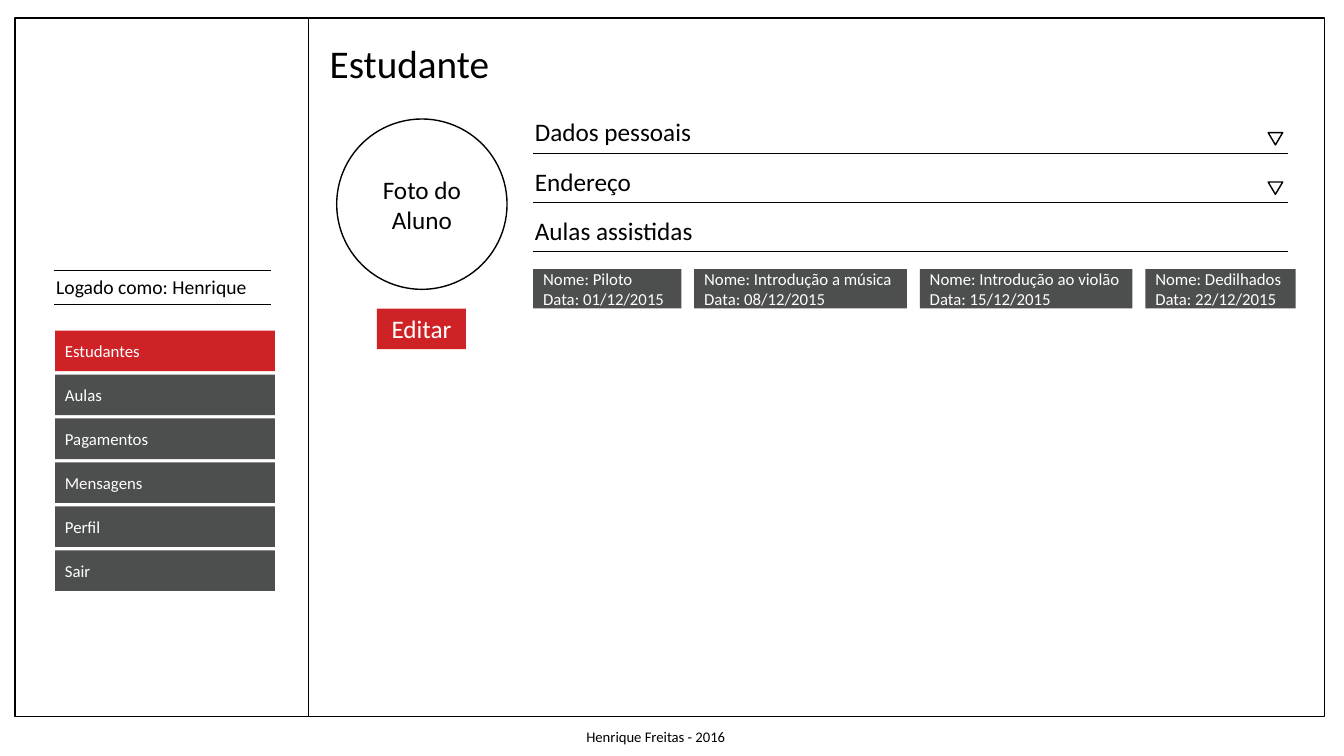
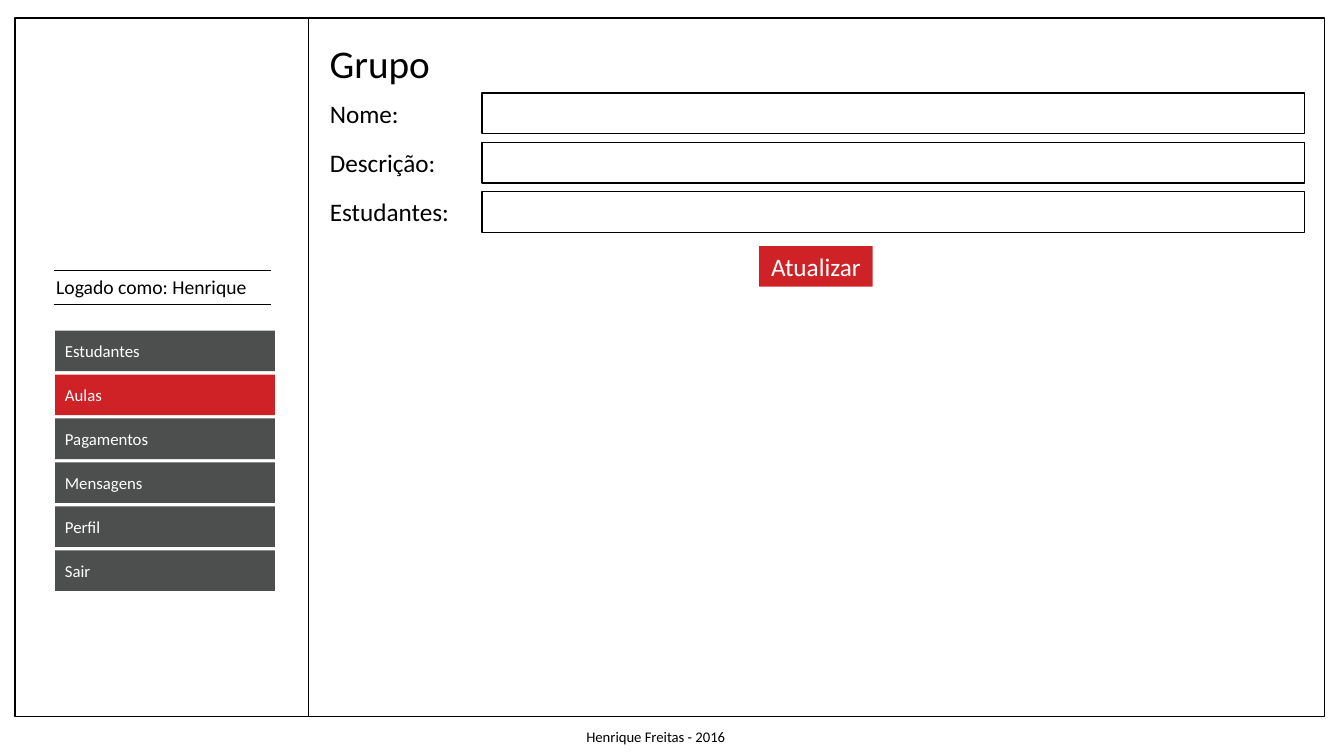
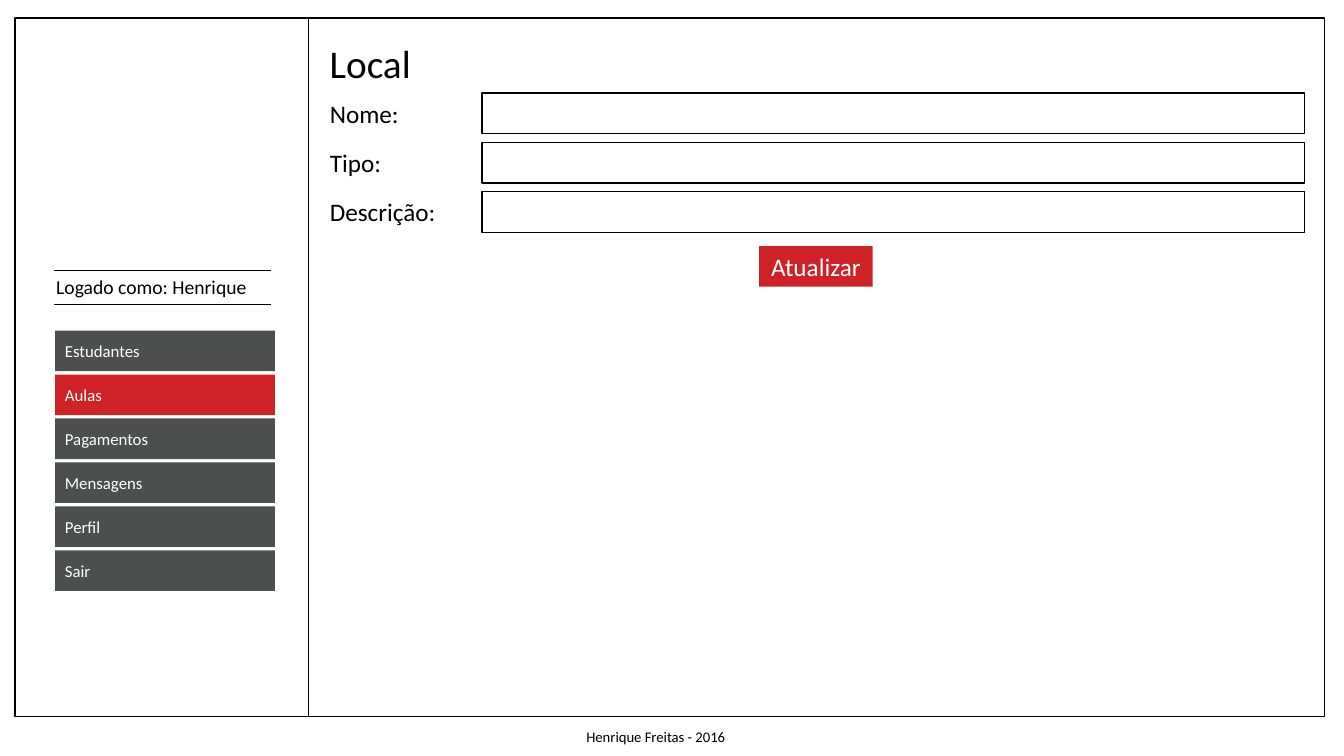
"""Build three wireframe screens of a music school's student management site."""
from dataclasses import dataclass
from typing import NamedTuple

from lxml import etree
from pptx import Presentation
from pptx.dml.color import RGBColor
from pptx.enum.shapes import MSO_CONNECTOR, MSO_SHAPE, PP_PLACEHOLDER
from pptx.enum.text import MSO_ANCHOR, MSO_AUTO_SIZE, PP_ALIGN
from pptx.oxml.ns import qn
from pptx.util import Pt

RECTANGLE = MSO_SHAPE.RECTANGLE
OVAL = MSO_SHAPE.OVAL
TRIANGLE = MSO_SHAPE.ISOSCELES_TRIANGLE
STRAIGHT = MSO_CONNECTOR.STRAIGHT
TITLE = PP_PLACEHOLDER.TITLE
TOP = MSO_ANCHOR.TOP
MIDDLE = MSO_ANCHOR.MIDDLE
FIT = MSO_AUTO_SIZE.SHAPE_TO_FIT_TEXT
LEFT = PP_ALIGN.LEFT
CENTER = PP_ALIGN.CENTER

COLORS = {"ink": "000000", "paper": "FFFFFF", "idle": "4D4E4E", "active": "CF2227"}
FONT = "Calibri"
MENU = ("Estudantes", "Aulas", "Pagamentos", "Mensagens", "Perfil", "Sair")
MENU_PITCH = 31.4
ROW_PITCH = 35.3
BUTTON_HEIGHT = 29
CARD_GAP = 9.2


class Box(NamedTuple):
    left: float
    top: float
    width: float
    height: float


class Section(NamedTuple):
    heading: str
    width: float
    collapsed: bool


class Lesson(NamedTuple):
    name: str
    date: str
    width: float


class Field(NamedTuple):
    label: str
    width: float


@dataclass(frozen=True)
class Screen:
    title: str
    title_width: float
    active: str
    fields: tuple[Field, ...] = ()


SCREENS = (
    Screen("Estudante", 129.6, "Estudantes"),
    Screen("Grupo", 87.1, "Aulas",
           (Field("Nome:", 64.1), Field("Descrição:", 90.7), Field("Estudantes:", 100.8))),
    Screen("Local", 72.7, "Aulas",
           (Field("Nome:", 64.1), Field("Tipo:", 51.8), Field("Descrição:", 90.7))),
)
SECTIONS = (
    Section("Dados pessoais", 127.4, True),
    Section("Endereço", 84.2, True),
    Section("Aulas assistidas", 128.2, False),
)
LESSONS = (
    Lesson("Piloto", "01/12/2015", 105.8),
    Lesson("Introdução a música", "08/12/2015", 151.9),
    Lesson("Introdução ao violão", "15/12/2015", 151.9),
    Lesson("Dedilhados", "22/12/2015", 107.3),
)


def rgb(color: str) -> RGBColor:
    return RGBColor.from_string(COLORS[color])


def write(frame, lines: tuple[str, ...], size: float, color: str, align=LEFT) -> None:
    for index, line in enumerate(lines):
        paragraph = frame.add_paragraph() if index else frame.paragraphs[0]
        paragraph.alignment = align
        run = paragraph.add_run()
        run.text = line
        run.font.name = FONT
        run.font.size = Pt(size)
        run.font.color.rgb = rgb(color)


def add_label(slide, box: Box, text: str, size: float) -> None:
    frame = slide.shapes.add_textbox(*map(Pt, box)).text_frame
    frame.word_wrap = False
    frame.auto_size = FIT
    write(frame, (text,), size, "ink")


def add_outline(slide, box: Box, kind=RECTANGLE):
    outline = slide.shapes.add_shape(kind, *map(Pt, box))
    outline.shadow.inherit = False
    outline.fill.background()
    outline.line.color.rgb = rgb("ink")
    outline.line.width = Pt(1)
    return outline


def add_block(slide, box: Box, lines: tuple[str, ...], color: str,
              size: float = 12, align=LEFT) -> None:
    block = slide.shapes.add_shape(RECTANGLE, *map(Pt, box))
    block.shadow.inherit = False
    block.fill.solid()
    block.fill.fore_color.rgb = rgb(color)
    block.line.fill.background()
    block.text_frame.vertical_anchor = MIDDLE
    write(block.text_frame, lines, size, "paper", align)


def add_rule(slide, left: float, right: float, top: float) -> None:
    rule = slide.shapes.add_connector(STRAIGHT, Pt(left), Pt(top), Pt(right), Pt(top))
    rule.line.color.rgb = rgb("ink")
    rule.line.width = Pt(0.5)
    etree.SubElement(rule.element.spPr, qn("a:effectLst"))


def set_title(slide, screen: Screen) -> None:
    title = slide.shapes.title
    title.left, title.top = Pt(228.3), Pt(24.5)
    title.width, title.height = Pt(screen.title_width), Pt(41.2)
    frame = title.text_frame
    frame.word_wrap = False
    frame.auto_size = FIT
    frame.vertical_anchor = TOP
    write(frame, (screen.title,), 28, "ink")


def build_layout(layout, slide) -> None:
    for placeholder in list(layout.placeholders):
        if placeholder.placeholder_format.type != TITLE:
            layout.shapes.element.remove(placeholder.element)
    add_outline(slide, Box(220.3, 13, 725.8, 499))
    add_outline(slide, Box(10.8, 13, 209.5, 499))
    add_label(slide, Box(33.1, 193, 152, 24.4), "Logado como: Henrique", 14)
    for top in (193, 217.4):
        add_rule(slide, 38.9, 193.7, top)
    add_label(slide, Box(411.8, 516.2, 115.9, 20.2), "Henrique Freitas - 2016", 10.5)
    for shape in list(slide.shapes):
        if not shape.is_placeholder:
            layout.shapes.element.append(shape.element)


def draw_menu(slide, active: str) -> None:
    for index, entry in enumerate(MENU):
        box = Box(39.3, 236.1 + index * MENU_PITCH, 157, BUTTON_HEIGHT)
        add_block(slide, box, (entry,), "active" if entry == active else "idle")


def draw_student(slide) -> None:
    for index, section in enumerate(SECTIONS):
        rule_top = 109.3 + index * ROW_PITCH
        add_label(slide, Box(375, rule_top - 29.5, section.width, 29), section.heading, 18)
        add_rule(slide, 380.9, 920.2, rule_top)
        if section.collapsed:
            arrow = add_outline(slide, Box(905.8, rule_top - 14.6, 10.4, 8.8), TRIANGLE)
            arrow.rotation = 180
    photo = add_outline(slide, Box(240.5, 85, 121.7, 121.7), OVAL)
    photo.text_frame.vertical_anchor = MIDDLE
    write(photo.text_frame, ("Foto do Aluno",), 18, "ink", CENTER)
    card_left = 380.9
    for lesson in LESSONS:
        lines = (f"Nome: {lesson.name}", f"Data: {lesson.date}")
        add_block(slide, Box(card_left, 192.2, lesson.width, 28.1), lines, "idle")
        card_left += lesson.width + CARD_GAP
    add_block(slide, Box(269.3, 220.4, 63.6, BUTTON_HEIGHT), ("Editar",), "active", 18, CENTER)


def draw_form(slide, fields: tuple[Field, ...]) -> None:
    for index, field in enumerate(fields):
        top = 66.4 + index * ROW_PITCH
        add_label(slide, Box(228.5, top, field.width, 29), field.label, 18)
        add_outline(slide, Box(344.2, top, 587.6, BUTTON_HEIGHT))
    add_block(slide, Box(542.2, 175.8, 81.2, BUTTON_HEIGHT), ("Atualizar",), "active", 18, CENTER)


def main() -> None:
    deck = Presentation()
    deck.slide_width, deck.slide_height = Pt(960), Pt(540)
    layout = deck.slide_layouts[5]
    for index, screen in enumerate(SCREENS):
        slide = deck.slides.add_slide(layout)
        if index == 0:
            build_layout(layout, slide)
        set_title(slide, screen)
        draw_menu(slide, screen.active)
        if screen.fields:
            draw_form(slide, screen.fields)
        else:
            draw_student(slide)
    deck.save("out.pptx")


if __name__ == "__main__":
    main()
